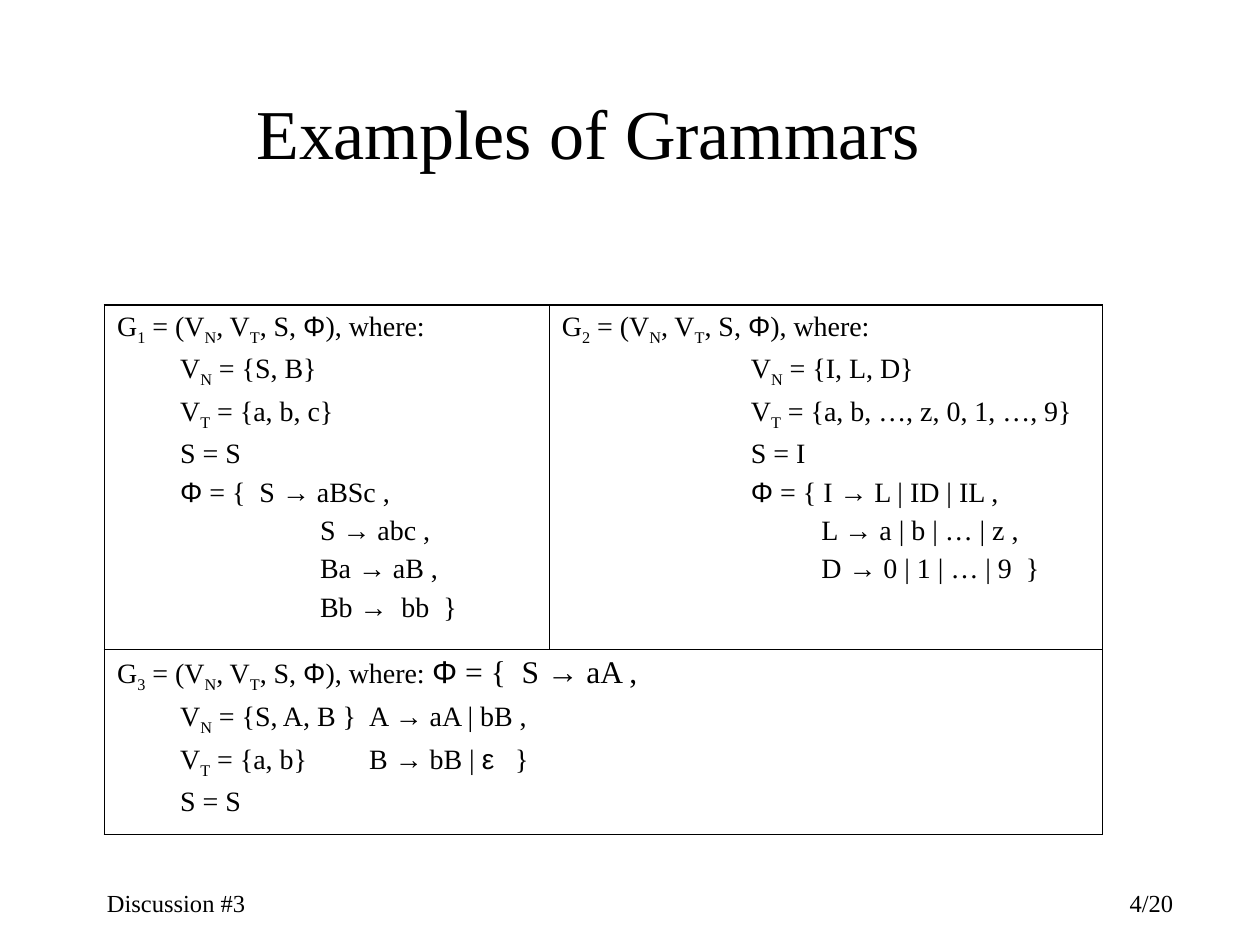
"""Build the slide that lists three example grammars."""
from dataclasses import dataclass
from itertools import groupby

from lxml.etree import SubElement
from pptx import Presentation
from pptx.dml.color import RGBColor
from pptx.enum.text import MSO_ANCHOR, PP_ALIGN
from pptx.oxml.ns import qn
from pptx.util import Inches, Pt


@dataclass(frozen=True)
class Theme:
    ink: str = "000000"
    text_font: str = "Times New Roman"
    symbol_font: str = "Arial"
    symbols: str = "Φ→ε"
    title_size: int = 40
    large_size: int = 18
    body_size: int = 16
    footer_size: int = 14
    outer_border: float = 1.08
    inner_border: float = 0.45


@dataclass(frozen=True)
class Line:
    text: str
    indent: float = 0.5
    tab: float = 0
    tail_size: int = Theme.body_size
    space_before: float = 4


class SlideBuilder:
    def __init__(self, slide, theme):
        self.slide = slide
        self.theme = theme

    def add_run(self, paragraph, text, size, font=None, subscript=False):
        run = paragraph.add_run()
        run.text = text
        run.font.size = Pt(size)
        run.font.name = font or self.theme.text_font
        run.font.color.rgb = RGBColor.from_string(self.theme.ink)
        if subscript:
            run.font._element.set("baseline", "-25000")

    def add_formula(self, paragraph, text, size):
        for position, part in enumerate(text.split("_")):
            if position:
                self.add_run(paragraph, part[0], size, subscript=True)
                part = part[1:]
            for is_symbol, letters in groupby(part, lambda letter: letter in self.theme.symbols):
                font = self.theme.symbol_font if is_symbol else self.theme.text_font
                self.add_run(paragraph, "".join(letters), size, font)

    def add_line(self, paragraph, line):
        paragraph.space_before = Pt(line.space_before)
        properties = paragraph._p.get_or_add_pPr()
        properties.set("indent" if line.tab else "marL", str(Inches(line.indent)))
        if line.tab:
            tabs = SubElement(properties, qn("a:tabLst"))
            SubElement(tabs, qn("a:tab"), pos=str(Inches(line.tab)), algn="l")
        head, tab, tail = line.text.partition("\t")
        self.add_formula(paragraph, head, self.theme.body_size)
        self.add_formula(paragraph, tab + tail, line.tail_size)

    def add_text(self, text, left, top, width, height, size,
                 align=PP_ALIGN.LEFT, anchor=MSO_ANCHOR.TOP):
        box = self.slide.shapes.add_textbox(
            Inches(left), Inches(top), Inches(width), Inches(height))
        frame = box.text_frame
        frame.word_wrap = True
        frame.vertical_anchor = anchor
        paragraph = frame.paragraphs[0]
        paragraph.alignment = align
        self.add_run(paragraph, text, size)

    def add_border(self, cell, row, column, last_row, last_column):
        is_outer = {"lnL": column == 0, "lnR": column == last_column,
                    "lnT": row == 0, "lnB": row == last_row}
        properties = cell._tc.get_or_add_tcPr()
        for position, (side, outer) in enumerate(is_outer.items()):
            width = self.theme.outer_border if outer else self.theme.inner_border
            border = SubElement(properties, qn(f"a:{side}"), w=str(Pt(width)))
            fill = SubElement(border, qn("a:solidFill"))
            SubElement(fill, qn("a:srgbClr"), val=self.theme.ink)
            properties.insert(position, border)

    def add_table(self, left, top, widths, heights, grammars):
        table = self.slide.shapes.add_table(
            len(heights), len(widths), Inches(left), Inches(top),
            Inches(sum(widths)), Inches(sum(heights))).table
        table.first_row = table.horz_banding = False
        for column, width in zip(table.columns, widths):
            column.width = Inches(width)
        for row, height in zip(table.rows, heights):
            row.height = Inches(height)
        last_row, last_column = len(heights) - 1, len(widths) - 1
        table.cell(last_row, 0).merge(table.cell(last_row, last_column))
        for row in range(len(heights)):
            for column in range(len(widths)):
                cell = table.cell(row, column)
                cell.fill.background()
                right_edge = 0 if row == last_row and column == 0 else last_column
                self.add_border(cell, row, column, last_row, right_edge)
        for (row, column), lines in grammars.items():
            cell = table.cell(row, column)
            cell.margin_left = cell.margin_right = Inches(0.1)
            cell.margin_top = cell.margin_bottom = Inches(0.05)
            frame = cell.text_frame
            for position, line in enumerate(lines):
                paragraph = frame.add_paragraph() if position else frame.paragraphs[0]
                self.add_line(paragraph, line)


def heading(number):
    return f"G_{number} = (V_N, V_T, S, Φ), where:"


def main():
    theme = Theme()
    grammars = {
        (0, 0): [
            Line(heading(1), 0),
            *(Line(text) for text in (
                "V_N = {S, B}", "V_T = {a, b, c}", "S = S", "Φ = {  S → aBSc ,")),
            *(Line(text, 1.61) for text in ("S → abc ,", "Ba → aB ,", "Bb →  bb  }")),
        ],
        (0, 1): [
            Line(heading(2), 0),
            *(Line(text, 1.5) for text in (
                "V_N = {I, L, D}", "V_T = {a, b, …, z, 0, 1, …, 9}", "S = I",
                "Φ = { I → L | ID | IL ,")),
            *(Line(text, 2.06) for text in ("L → a | b | … | z ,", "D → 0 | 1 | … | 9  }")),
        ],
        (1, 0): [
            Line(heading(3) + "\tΦ = {  S → aA ,", 0, 2.95, theme.large_size, 4.5),
            Line("V_N = {S, A, B }\tA → aA | bB ,", tab=3.61),
            Line("V_T = {a, b}\tB → bB | ε   }", tab=3.61),
            Line("S = S"),
        ],
    }
    presentation = Presentation()
    presentation.slide_width, presentation.slide_height = Inches(10), Inches(7.5)
    slide = presentation.slides.add_slide(presentation.slide_layouts[6])
    builder = SlideBuilder(slide, theme)
    builder.add_text("Discussion #3", 0.75, 7, 2.08, 0.33, theme.footer_size)
    builder.add_text("4/20", 7.33, 7, 2.08, 0.33, theme.footer_size, PP_ALIGN.RIGHT)
    builder.add_text("Examples of Grammars", 0.42, 0.42, 8.5, 1.25, theme.title_size,
                     PP_ALIGN.CENTER, MSO_ANCHOR.MIDDLE)
    builder.add_table(0.83, 2.42, (3.53, 4.39), (2.58, 1.39), grammars)
    presentation.save("out.pptx")


if __name__ == "__main__":
    main()
